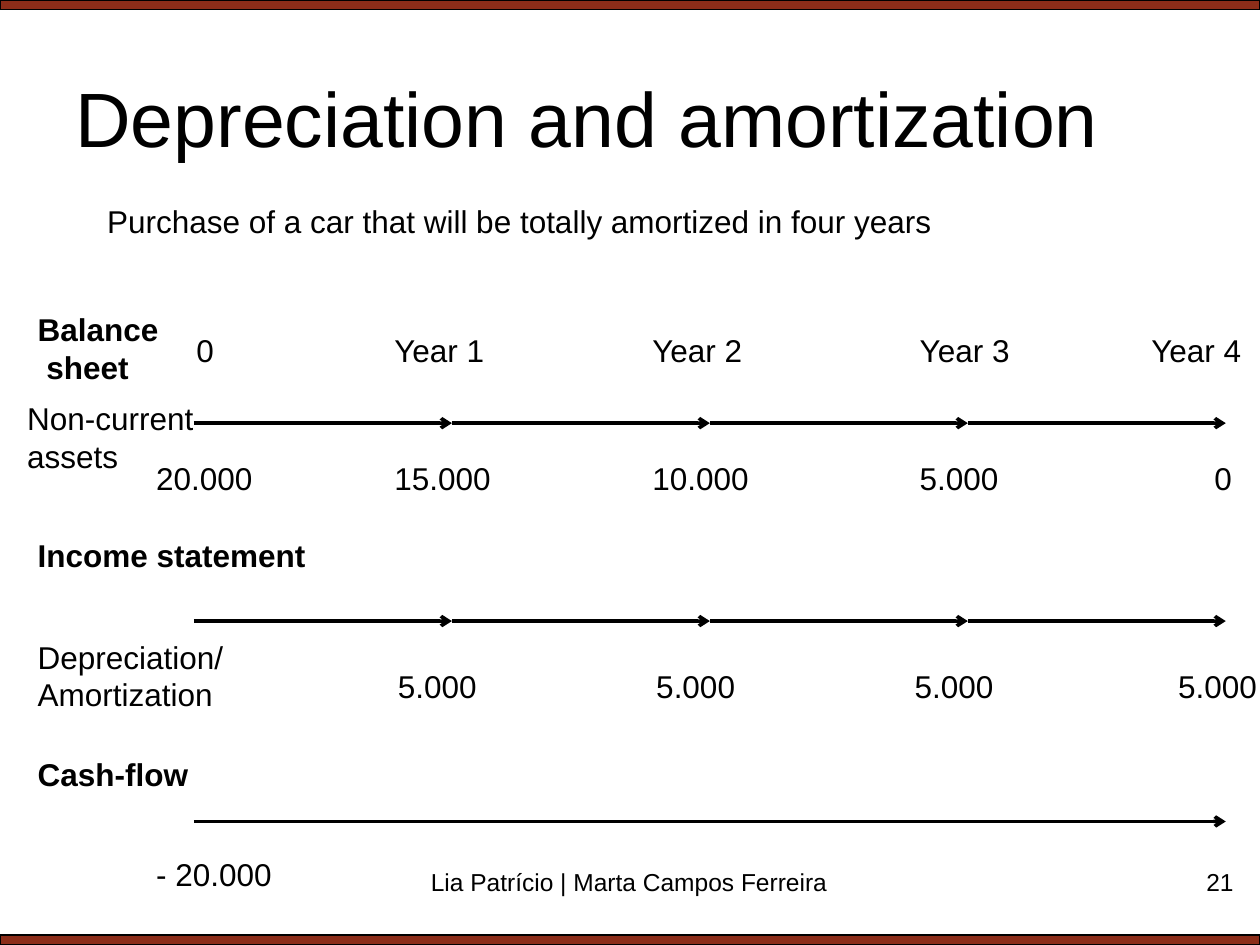
from lxml import etree
from pptx import Presentation
from pptx import util as u
from pptx.dml.color import RGBColor
from pptx.enum import shapes, text
from pptx.oxml import ns

BLACK = RGBColor(0x00, 0x00, 0x00)
BRICK = RGBColor(0x8C, 0x2D, 0x19)
WIDTH, HEIGHT, BAND = 25.4, 19.05, 0.2
AXIS_LEFT, AXIS_WIDTH = 3.91, 20.8
LEFT, CENTER, RIGHT = text.PP_ALIGN.LEFT, text.PP_ALIGN.CENTER, text.PP_ALIGN.RIGHT
MIDDLE, FIT = text.MSO_ANCHOR.MIDDLE, text.MSO_AUTO_SIZE.SHAPE_TO_FIT_TEXT


def add_text(s, box, lines, size=18, bold=False, align=LEFT, **frame):
    """Place lines of text, one paragraph each, in a box given in centimetres."""
    tf = s.shapes.add_textbox(*map(u.Cm, box)).text_frame
    for name, value in {"word_wrap": True, **frame}.items():
        setattr(tf, name, value)
    for i, line in enumerate(lines.split("\n")):
        p = tf.add_paragraph() if i else tf.paragraphs[0]
        p.alignment = align
        r = p.add_run()
        r.text = line
        for name, value in {"name": "Arial", "size": u.Pt(size), "bold": bold}.items():
            setattr(r.font, name, value)
        r.font.color.rgb = BLACK


def add_band(s, left, top, width, height):
    """Draw one outlined edge band."""
    sp = s.shapes.add_shape(shapes.MSO_SHAPE.RECTANGLE, *map(u.Cm, (left, top, width, height)))
    sp.shadow.inherit = False
    sp.fill.solid()
    sp.fill.fore_color.rgb = BRICK
    sp.line.color.rgb = BLACK
    sp.line.width = u.Pt(0.75)


def add_arrow(s, left, top, length):
    """Draw a horizontal arrow pointing right."""
    x, y, end = u.Cm(left), u.Cm(top), u.Cm(left + length)
    sp = s.shapes.add_connector(shapes.MSO_CONNECTOR.STRAIGHT, x, y, end, y)
    sp.line.color.rgb = BLACK
    sp.line.width = u.Pt(2)
    etree.SubElement(sp.line._get_or_add_ln(), ns.qn("a:tailEnd"), type="arrow")
    etree.SubElement(sp._element.spPr, ns.qn("a:effectLst"))


def add_heading(s, left, top, width):
    """Place the title and the sentence below it."""
    add_text(s, (left, top, width, 3.18), "Depreciation and amortization", 44,
             vertical_anchor=MIDDLE)
    add_text(s, (left + 0.64, top + 3.18, width - 0.05, 1.02),
             "Purchase of a car that will be totally amortized in four years", auto_size=FIT)


def add_timeline(s, left, top, width, steps, headings, labels):
    """Draw a chain of arrows with labels offset from its starting point."""
    step = width / steps
    for i in range(steps):
        add_arrow(s, left + i * step, top, step)
    for bold, group in ((True, headings), (False, labels)):
        for dx, dy, w, words in group:
            h = 1.02 + 0.78 * words.count("\n")
            add_text(s, (left + dx, top + dy, w, h), words, bold=bold,
                     word_wrap=False, auto_size=FIT)


def add_footer(s, left, top, width):
    """Place the authors and the slide number."""
    add_text(s, (left, top, 8.81, 1.32), "Lia Patrício | Marta Campos Ferreira", 14, align=CENTER)
    add_text(s, (left + width - 5.92, top, 5.92, 1.32), "21", 14, align=RIGHT)


def row(dy, *items):
    """Give the labels of one row the same vertical offset."""
    return [(dx, dy, w, words) for dx, w, words in items]


TIMELINES = [
    (8.53, 4, [(-3.4, -2.41, 2.97, "Balance\n sheet")],
     [(-3.61, -0.61, 3.89, "Non-current\nassets")]
     + row(-1.99, (-0.2, 0.86, "0"), (3.79, 2.34, "Year 1"), (8.99, 2.34, "Year 2"),
           (14.38, 2.34, "Year 3"), (19.05, 2.34, "Year 4"))
     + row(0.59, (-1.01, 2.46, "20.000"), (3.79, 2.46, "15.000"), (8.99, 2.46, "10.000"),
           (14.38, 2.11, "5.000"), (20.32, 0.86, "0"))),
    (12.52, 4, [(-3.4, -1.83, 5.97, "Income statement")],
     [(-3.4, 0.21, 4.29, "Depreciation/\nAmortization")]
     + row(0.8, *((dx, 2.11, "5.000") for dx in (3.86, 9.07, 14.28, 19.59)))),
    (16.56, 1, [(-3.4, -1.47, 3.61, "Cash-flow")], [(-1.01, 0.56, 2.87, "- 20.000")]),
]


def build():
    """Build and save the slide."""
    prs = Presentation()
    prs.slide_width, prs.slide_height = u.Cm(WIDTH), u.Cm(HEIGHT)
    s = prs.slides.add_slide(prs.slide_layouts[6])
    for top in (0, HEIGHT - BAND):
        add_band(s, 0, top, WIDTH, BAND)
    add_heading(s, 1.27, 0.76, 22.86)
    for top, steps, headings, labels in TIMELINES:
        add_timeline(s, AXIS_LEFT, top, AXIS_WIDTH, steps, headings, labels)
    add_footer(s, 8.28, 17.35, 16.84)
    prs.save("out.pptx")


build()
